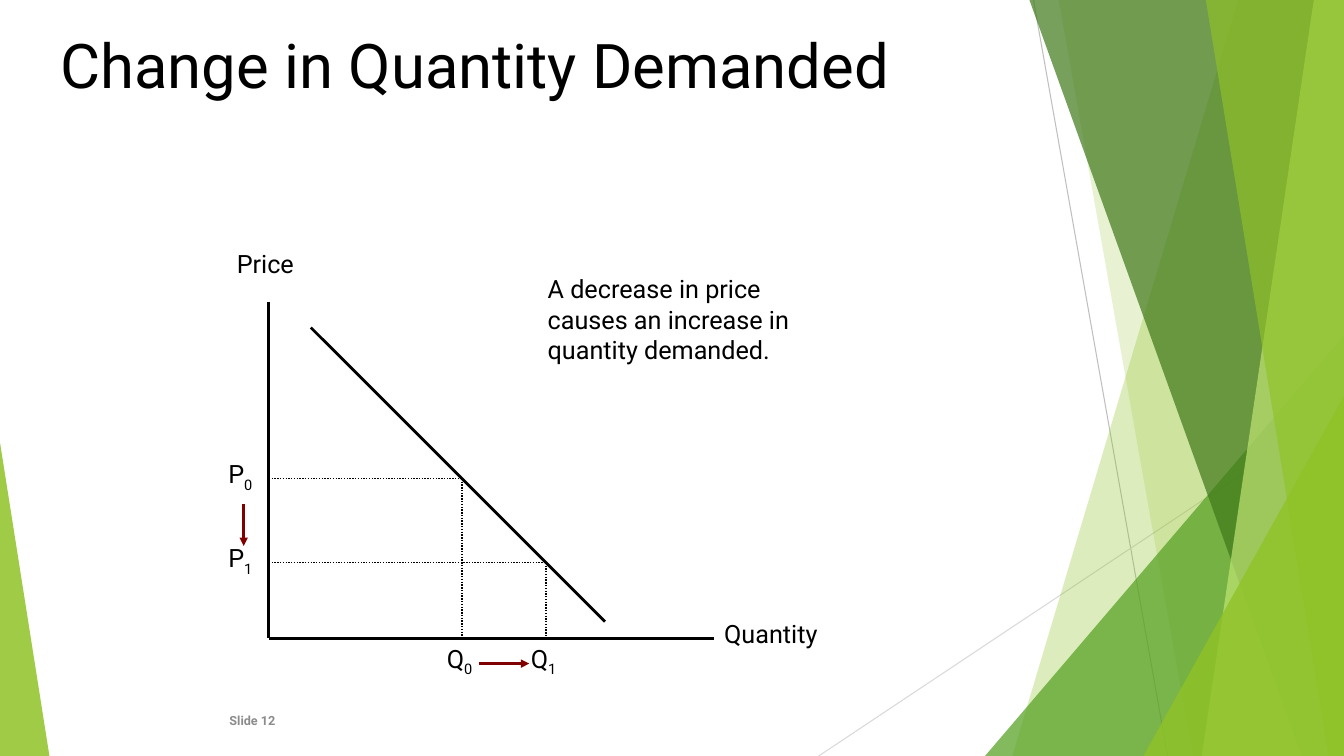
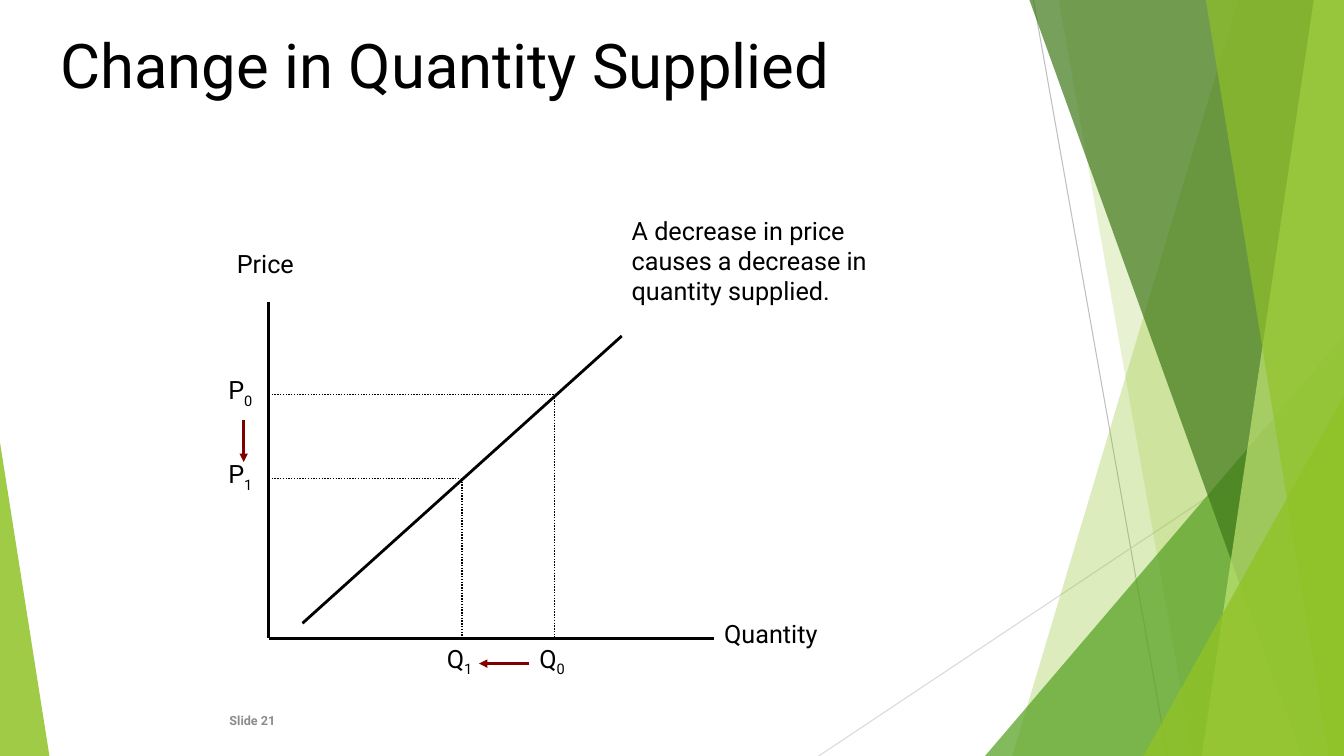
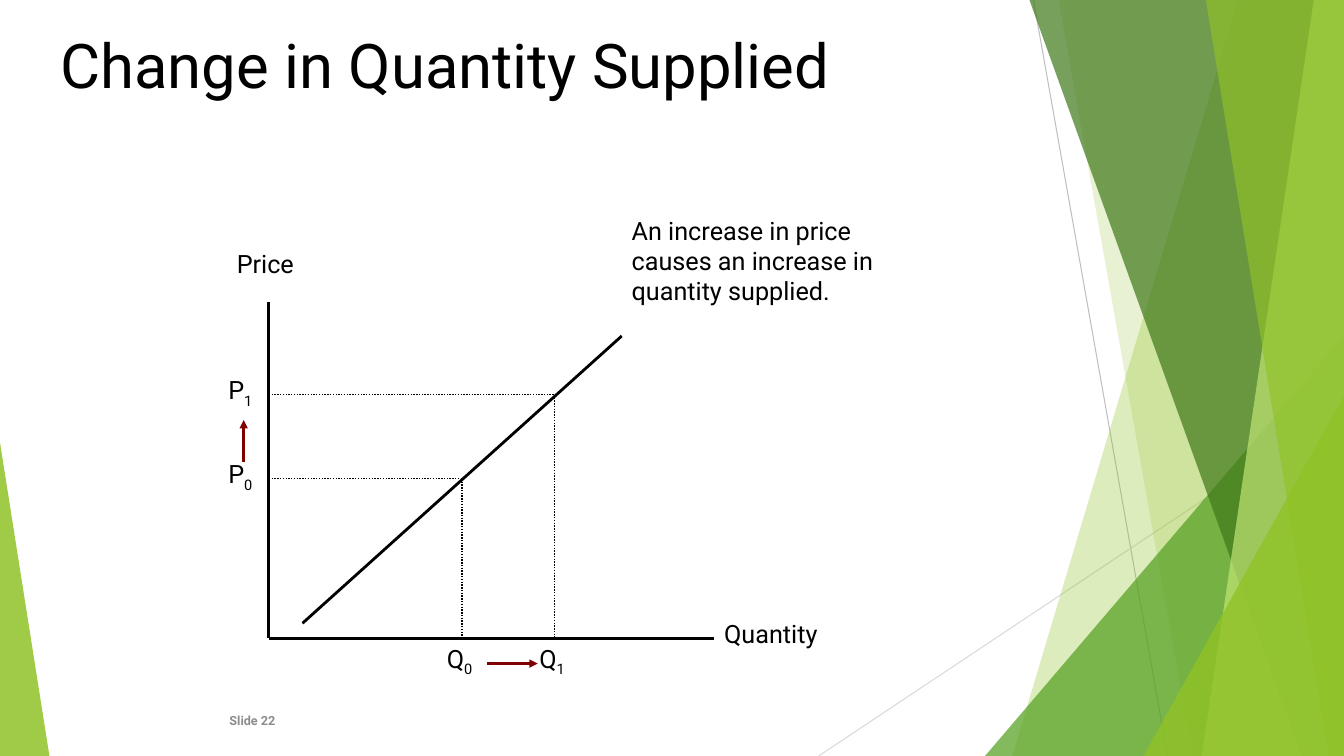
from dataclasses import dataclass

from pptx import Presentation
from pptx.dml.color import RGBColor
from pptx.enum import dml, shapes, text
from pptx.oxml.ns import qn
from pptx.oxml.xmlchemy import OxmlElement
from pptx import util as u

FONT = "Roboto"
COLORS = {
    "ink": "000000", "footer": "8C8C8C", "arrow": "800000",
    "rule": "BFBFBF", "pale_rule": "D9D9D9",
    "lime": "90C226", "green": "54A021", "forest": "3F7819", "mint": "C0E474",
}

# Graph lengths are cells of a grid with twelve cells to the inch
CELLS = 12
AXIS_X, AXIS_Y = 32, 76
AXIS_TOP, AXIS_END = 36, 85

Point = tuple[float, float]


@dataclass(frozen=True)
class Band:
    """Background outline in inches, with its colour and opacity."""
    outline: tuple[Point, ...]
    color: str
    opacity: int


@dataclass(frozen=True)
class Corner:
    """Right triangle in inches; apex is 0 for left and 1 for right."""
    box: tuple[float, float, float, float]
    apex: int
    color: str
    opacity: int


@dataclass(frozen=True)
class Graph:
    """One move along a curve; points are in grid cells."""
    title: str
    number: int
    curve: tuple[Point, Point]
    before: Point
    after: Point
    quantity_arrow: Point
    note: str
    note_at: Point


BACKGROUND = (
    Band(((12.28, 0), (13.33, 0), (13.33, 7.5), (10.04, 7.5)), "lime", 30),
    Band(((10.5, 0), (13.33, 0), (13.33, 7.5), (11.83, 7.5)), "lime", 20),
    Corner((9.77, 3.33, 3.56, 4.17), 1, "green", 72),
    Band(((10.21, 0), (13.33, 0), (13.33, 7.5), (12.91, 7.5)), "forest", 70),
    Band(((13.03, 0), (13.33, 0), (13.33, 7.5), (11.92, 7.5)), "mint", 70),
    Band(((11.96, 0), (13.33, 0), (13.33, 7.5), (13.18, 7.5)), "lime", 65),
    Corner((11.34, 3.93, 1.99, 3.57), 1, "lime", 80),
    Corner((0, 4.39, 0.49, 3.11), 0, "lime", 85),
)

DEMAND = ((37, 39), (72, 74))
SUPPLY = ((74, 40), (36, 74.2))
LOW, HIGH = (55, 57), (66, 47)

GRAPHS = (
    Graph("Change in Quantity Demanded", 12, DEMAND, (55, 57), (65, 67), (57, 63),
          "A decrease in price causes an increase in quantity demanded.", (64, 32)),
    Graph("Change in Quantity Supplied", 21, SUPPLY, HIGH, LOW, (63, 57),
          "A decrease in price causes a decrease in quantity supplied.", (74, 25)),
    Graph("Change in Quantity Supplied", 22, SUPPLY, LOW, HIGH, (58, 64),
          "An increase in price causes an increase in quantity supplied.", (74, 25)),
)


def rgb(name: str) -> RGBColor:
    return RGBColor.from_string(COLORS[name])


def add_run(paragraph, words: str, size: float, color: str = "ink",
            bold: bool = False, subscript: bool = False) -> None:
    run = paragraph.add_run()
    run.text = words
    run.font.name, run.font.size, run.font.bold = FONT, u.Pt(size), bold
    run.font.color.rgb = rgb(color)
    if subscript:
        run._r.get_or_add_rPr().set("baseline", "-25000")


def add_line(canvas, start: Point, end: Point, color: str = "ink", width: float = 2,
             dotted: bool = False, arrow: bool = False, per_inch: int = CELLS) -> None:
    ends = [u.Inches(value / per_inch) for value in (*start, *end)]
    rule = canvas.add_connector(shapes.MSO_CONNECTOR.STRAIGHT, *ends)
    rule.line.color.rgb = rgb(color)
    rule.line.width = u.Pt(width)
    if dotted:
        rule.line.dash_style = dml.MSO_LINE.ROUND_DOT
    if arrow:
        tip = OxmlElement("a:tailEnd")
        tip.set("type", "triangle")
        rule.line._get_or_add_ln().append(tip)
    rule.element.spPr.append(OxmlElement("a:effectLst"))


def add_label(canvas, at: Point, size: Point, words: str,
              subscript: str = "", wrap: bool = False) -> None:
    box = canvas.add_textbox(*(u.Inches(value / CELLS) for value in (*at, *size)))
    frame = box.text_frame
    frame.word_wrap = wrap
    frame.auto_size = text.MSO_AUTO_SIZE.SHAPE_TO_FIT_TEXT
    add_run(frame.paragraphs[0], words, 18)
    if subscript:
        add_run(frame.paragraphs[0], subscript, 18, subscript=True)


def paint(shape, color: str, opacity: int) -> None:
    shape.shadow.inherit = False
    shape.fill.solid()
    shape.fill.fore_color.rgb = rgb(color)
    shape.line.fill.background()
    alpha = OxmlElement("a:alpha")
    alpha.set("val", str(opacity * 1000))
    shape.element.spPr.find(".//" + qn("a:srgbClr")).append(alpha)


def add_background(slide, layout) -> None:
    """Draw the facets as one group and hand it to the shared layout."""
    facets = slide.shapes.add_group_shape()
    canvas = facets.shapes
    add_line(canvas, (10.25, 0), (11.58, 7.5), "rule", 0.75, per_inch=1)
    add_line(canvas, (13.33, 4.03), (8.12, 7.5), "pale_rule", 0.75, per_inch=1)
    for facet in BACKGROUND:
        if isinstance(facet, Band):
            first, *rest = [(x * 100, y * 100) for x, y in facet.outline]
            pen = canvas.build_freeform(*first, scale=u.Inches(0.01))
            pen.add_line_segments(rest, close=True)
            shape = pen.convert_to_shape()
        else:
            shape = canvas.add_shape(shapes.MSO_SHAPE.ISOSCELES_TRIANGLE,
                                     *map(u.Inches, facet.box))
            shape.adjustments[0] = facet.apex
        paint(shape, facet.color, facet.opacity)
    layout.shapes.element.insert(2, facets.element)


def add_title(slide, words: str) -> None:
    title = slide.shapes.title
    title.left, title.top, title.width, title.height = map(u.Inches, (0.5, 0.3, 9, 1.25))
    frame = title.text_frame
    frame.word_wrap = True
    frame.auto_size = text.MSO_AUTO_SIZE.NONE
    frame.vertical_anchor = text.MSO_ANCHOR.TOP
    heading = frame.paragraphs[0]
    heading.alignment = text.PP_ALIGN.LEFT
    heading.line_spacing = 0.9
    add_run(heading, words, 44)


def add_footer(slide, number: int) -> None:
    box = slide.shapes.add_textbox(*map(u.Inches, (0.5, 6.95, 2.33, 0.4)))
    frame = box.text_frame
    frame.word_wrap = True
    frame.vertical_anchor = text.MSO_ANCHOR.MIDDLE
    frame.paragraphs[0].alignment = text.PP_ALIGN.RIGHT
    add_run(frame.paragraphs[0], f"Slide {number}", 9, "footer", bold=True)


def add_graph(canvas, graph: Graph) -> None:
    # Axes and curve
    add_line(canvas, (AXIS_X, AXIS_TOP), (AXIS_X, AXIS_Y))
    add_line(canvas, (AXIS_END, AXIS_Y), (AXIS_X, AXIS_Y))
    add_label(canvas, (AXIS_END, 73), (16.4, 6), "Quantity")
    add_label(canvas, (27, 29), (10.7, 6), "Price")
    add_line(canvas, *graph.curve)

    # Dotted guides and axis labels of both points
    for index, (quantity, price) in enumerate((graph.before, graph.after)):
        add_line(canvas, (AXIS_X, price), (quantity, price), width=1, dotted=True)
        add_line(canvas, (quantity, price), (quantity, AXIS_Y), width=1, dotted=True)
        add_label(canvas, (26, price - 3), (6, 6), "P", str(index))
        add_label(canvas, (quantity - 3, AXIS_Y), (6.6, 6), "Q", str(index))

    # Arrows of change
    price_before, price_after = graph.before[1], graph.after[1]
    upper, lower = sorted((price_before, price_after))
    price_arrow = [upper + 3, lower - 2]
    if price_after < price_before:
        price_arrow.reverse()
    add_line(canvas, (29, price_arrow[0]), (29, price_arrow[1]), "arrow", arrow=True)
    start, end = graph.quantity_arrow
    add_line(canvas, (start, AXIS_Y + 3), (end, AXIS_Y + 3), "arrow", arrow=True)

    add_label(canvas, graph.note_at, (37, 15.6), graph.note, wrap=True)


def main() -> None:
    deck = Presentation()
    deck.slide_width, deck.slide_height = u.Inches(13.33), u.Inches(7.5)
    layout = deck.slide_layouts.get_by_name("Title Only")
    for holder in list(layout.placeholders):
        if holder.placeholder_format.type != shapes.PP_PLACEHOLDER.TITLE:
            layout.shapes.element.remove(holder.element)

    for position, graph in enumerate(GRAPHS):
        slide = deck.slides.add_slide(layout)
        if position == 0:
            add_background(slide, layout)
        add_title(slide, graph.title)
        add_footer(slide, graph.number)
        add_graph(slide.shapes, graph)
    deck.save("out.pptx")


if __name__ == "__main__":
    main()
